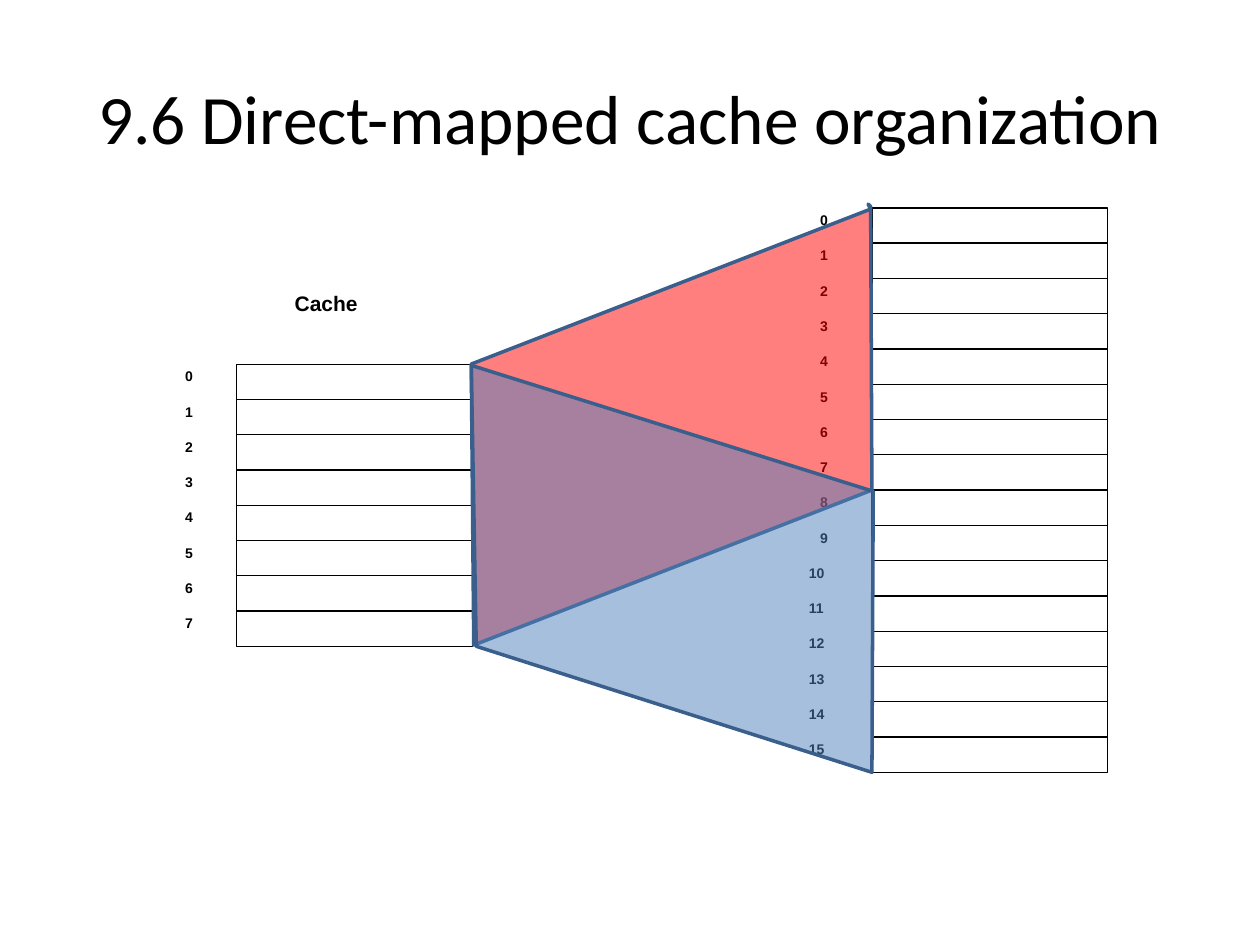
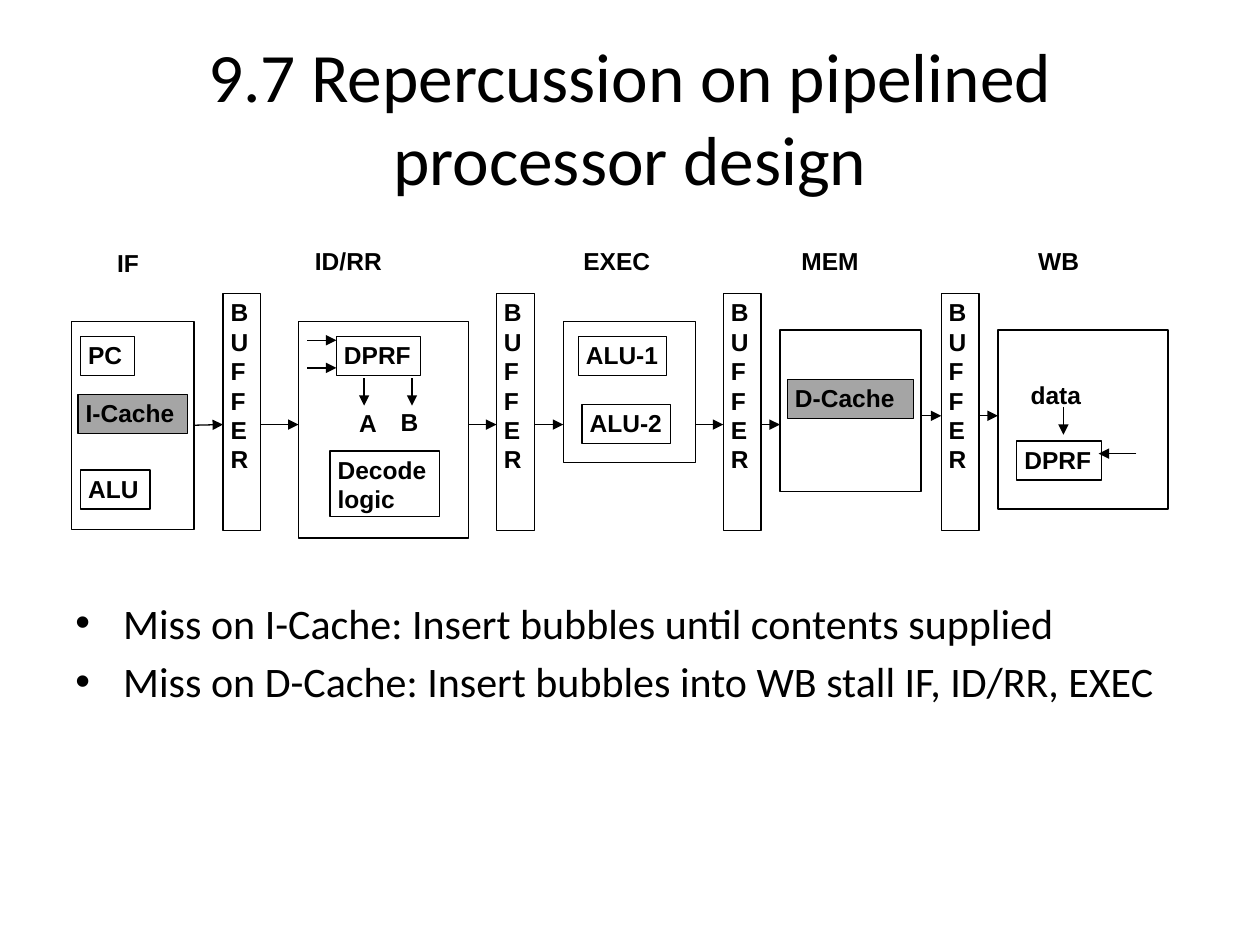
from itertools import pairwise

from lxml import etree
from pptx import Presentation
from pptx.dml.color import RGBColor
from pptx.enum.shapes import MSO_CONNECTOR, MSO_SHAPE
from pptx.enum.text import MSO_ANCHOR, PP_ALIGN
from pptx.oxml.ns import qn
from pptx.util import Inches, Pt

RECT, STRAIGHT = MSO_SHAPE.RECTANGLE, MSO_CONNECTOR.STRAIGHT
TOP, MIDDLE = MSO_ANCHOR.TOP, MSO_ANCHOR.MIDDLE
LEFT, CENTER = PP_ALIGN.LEFT, PP_ALIGN.CENTER
RIGHT_SIDE = 3

BLACK = RGBColor(0x00, 0x00, 0x00)
WHITE = RGBColor(0xFF, 0xFF, 0xFF)
GREY = RGBColor(0xA5, 0xA5, 0xA5)
RED = RGBColor(0xFF, 0x00, 0x00)
BLUE = RGBColor(0x4F, 0x81, 0xBD)
DARK_BLUE = RGBColor(0x3A, 0x5F, 0x8C)

TITLE_FONT = {"name": "Calibri", "size": Pt(39.6)}
BULLET_FONT = {"name": "Calibri", "size": Pt(24)}
INDEX_FONT = {"name": "Arial", "size": Pt(8), "bold": True}
CAPTION_FONT = {"name": "Arial", "size": Pt(12), "bold": True}
LABEL_FONT = {"name": "Arial", "size": Pt(14), "bold": True}
WIDE_INSETS = (0.1, 0.05, 0.1, 0.05)
TIGHT_INSETS = (0.06, 0.03, 0, 0.03)

# Slide 1: memory blocks mapped onto the cache
CACHE_TITLE = "9.6 Direct-mapped cache organization"
ROW_WIDTH, ROW_HEIGHT = 1.87, 0.28
ROW_STACKS = [  # left, top, number of rows
    (6.92, 1.65, 16),
    (1.88, 2.89, 8),
]
MAPPINGS = [
    (RED, [(3.76, 5.12), (6.92, 3.89), (6.91, 1.64), (6.89, 1.62), (6.91, 1.66), (3.74, 2.89)]),
    (BLUE, [(3.74, 2.9), (6.93, 3.9), (6.92, 6.13), (3.78, 5.13)]),
]

# Slide 2: pipeline stages, boxes as (left, top, width, height)
PIPELINE_TITLE = "9.7 Repercussion on pipelined processor design"
BULLETS = [
    "Miss on I-Cache: Insert bubbles until contents supplied",
    "Miss on D-Cache: Insert bubbles into WB stall IF, ID/RR, EXEC",
]
STAGES = [
    (0.57, 2.55, 0.97, 1.65),
    (2.37, 2.55, 1.35, 1.72),
    (4.47, 2.55, 1.05, 1.12),
    (6.19, 2.62, 1.12, 1.28),
    (7.92, 2.62, 1.35, 1.42),
]
BUFFER_LEFTS = [1.77, 3.94, 5.74, 7.47]
BUFFER_TOP, BUFFER_WIDTH, BUFFER_HEIGHT = 2.33, 0.3, 1.88
FLOW_Y, MEM_FLOW_Y = 3.37, 3.3
UNITS = [
    ("PC", (0.64, 2.67, 0.43, 0.31), None),
    ("I-Cache", (0.62, 3.13, 0.87, 0.31), GREY),
    ("ALU", (0.64, 3.73, 0.55, 0.31), None),
    ("DPRF", (2.67, 2.67, 0.67, 0.31), None),
    ("Decode\nlogic", (2.62, 3.58, 0.87, 0.52), None),
    ("ALU-1", (4.59, 2.67, 0.7, 0.31), None),
    ("ALU-2", (4.62, 3.21, 0.7, 0.31), None),
    ("D-Cache", (6.25, 3.01, 1, 0.31), GREY),
    ("DPRF", (8.07, 3.5, 0.67, 0.31), None),
]
LABELS = [
    ("IF", (0.87, 1.94, 0.34, 0.3)),
    ("ID/RR", (2.44, 1.92, 0.66, 0.3)),
    ("EXEC", (4.57, 1.92, 0.66, 0.3)),
    ("MEM", (6.3, 1.92, 0.59, 0.3)),
    ("WB", (8.18, 1.92, 0.47, 0.3)),
    ("A", (2.79, 3.21, 0.31, 0.3)),
    ("B", (3.12, 3.2, 0.31, 0.3)),
    ("data", (8.12, 2.99, 0.54, 0.3)),
]
SIGNALS = [  # from, to
    ((2.44, 2.7), (2.67, 2.7)),
    ((2.44, 2.92), (2.67, 2.92)),
    ((2.89, 3), (2.89, 3.22)),
    ((3.27, 3), (3.27, 3.22)),
    ((8.44, 3.23), (8.44, 3.45)),
    ((9.02, 3.6), (8.72, 3.6)),
]


def inches(values):
    return [Inches(v) for v in values]


def write(sp, text, font, insets=TIGHT_INSETS, align=LEFT, anchor=TOP):
    """Fill a shape with one paragraph for each line of text."""
    tf = sp.text_frame
    tf.word_wrap = True
    tf.vertical_anchor = anchor
    tf.margin_left, tf.margin_top, tf.margin_right, tf.margin_bottom = inches(insets)
    for i, line in enumerate(text.split("\n")):
        p = tf.add_paragraph() if i else tf.paragraphs[0]
        p.alignment = align
        r = p.add_run()
        r.text = line
        r.font.color.rgb = BLACK
        for name, value in font.items():
            setattr(r.font, name, value)
    return tf


def add_text(slide, box, text, font, **layout):
    return write(slide.shapes.add_textbox(*inches(box)), text, font, **layout)


def paint(sp, fill, line, width=0.75):
    sp.shadow.inherit = False
    if fill is None:
        sp.fill.background()
    else:
        sp.fill.solid()
        sp.fill.fore_color.rgb = fill
    if line is None:
        sp.line.fill.background()
    else:
        sp.line.color.rgb = line
        sp.line.width = Pt(width)


def add_box(slide, box, fill=None, line=BLACK):
    sp = slide.shapes.add_shape(RECT, *inches(box))
    paint(sp, fill, line)
    return sp


def add_arrow(slide, start, end):
    cx = slide.shapes.add_connector(STRAIGHT, *inches(start + end))
    cx.line.color.rgb = BLACK
    cx.line.width = Pt(0.75)
    etree.SubElement(cx.line._get_or_add_ln(), qn("a:tailEnd"), type="triangle")
    etree.SubElement(cx._element.spPr, qn("a:effectLst"))
    return cx


def add_mapping(slide, color, points):
    """Draw a half-transparent outline joining memory rows to cache rows."""
    start, *rest = [inches(point) for point in points]
    builder = slide.shapes.build_freeform(*start)
    builder.add_line_segments(rest, close=True)
    sp = builder.convert_to_shape()
    paint(sp, color, DARK_BLUE, 2)
    fill_color = sp._element.spPr.find(qn("a:solidFill"))[0]
    etree.SubElement(fill_color, qn("a:alpha"), val="50000")


def add_slide(prs, title):
    slide = prs.slides.add_slide(prs.slide_layouts[6])
    add_text(slide, (0.5, 0.3, 9, 1.25), title, TITLE_FONT,
             insets=WIDE_INSETS, align=CENTER, anchor=MIDDLE)
    return slide


def build_cache_slide(prs):
    slide = add_slide(prs, CACHE_TITLE)
    for left, top, count in ROW_STACKS:
        for i in range(count):
            y = top + i * ROW_HEIGHT
            add_box(slide, (left, y, ROW_WIDTH, ROW_HEIGHT))
            index_left = left - (0.47 if i < 10 else 0.56)
            add_text(slide, (index_left, y, 0.4, 0.31), str(i), INDEX_FONT)
    caption = add_box(slide, (2.24, 2.26, 1.08, 0.41), WHITE, line=None)
    write(caption, "Cache", CAPTION_FONT, insets=WIDE_INSETS)
    for color, points in MAPPINGS:
        add_mapping(slide, color, points)


def add_bullets(slide):
    tf = add_text(slide, (0.5, 4.69, 9, 2.01), "\n".join(BULLETS), BULLET_FONT,
                  insets=WIDE_INSETS)
    for i, p in enumerate(tf.paragraphs):
        pPr = p._p.get_or_add_pPr()
        pPr.set("marL", str(Inches(0.38)))
        pPr.set("indent", str(-Inches(0.38)))
        etree.SubElement(pPr, qn("a:buFont"), typeface="Arial")
        etree.SubElement(pPr, qn("a:buChar"), char="•")
        if i:
            p.space_before = Pt(4.8)


def build_pipeline_slide(prs):
    slide = add_slide(prs, PIPELINE_TITLE)
    add_bullets(slide)
    stages = [add_box(slide, box) for box in STAGES]
    buffers = [(left, BUFFER_TOP, BUFFER_WIDTH, BUFFER_HEIGHT) for left in BUFFER_LEFTS]
    for box in buffers:
        write(add_box(slide, box), "\n".join("BUFFER"), LABEL_FONT)
    for text, box, fill in UNITS:
        write(add_box(slide, box, fill), text, LABEL_FONT)
    for text, box in LABELS:
        add_text(slide, box, text, LABEL_FONT)
    for start, end in SIGNALS:
        add_arrow(slide, start, end)

    mem_left = STAGES[3][0]
    flow = []
    for source, target in pairwise(sorted(STAGES + buffers)):
        y = MEM_FLOW_Y if source[0] >= mem_left else FLOW_Y
        flow.append(add_arrow(slide, (source[0] + source[2], y), (target[0], y)))
    flow[0].begin_connect(stages[0], RIGHT_SIDE)


def main():
    prs = Presentation()
    prs.slide_width, prs.slide_height = Inches(10), Inches(7.5)
    build_cache_slide(prs)
    build_pipeline_slide(prs)
    prs.save("out.pptx")


if __name__ == "__main__":
    main()
